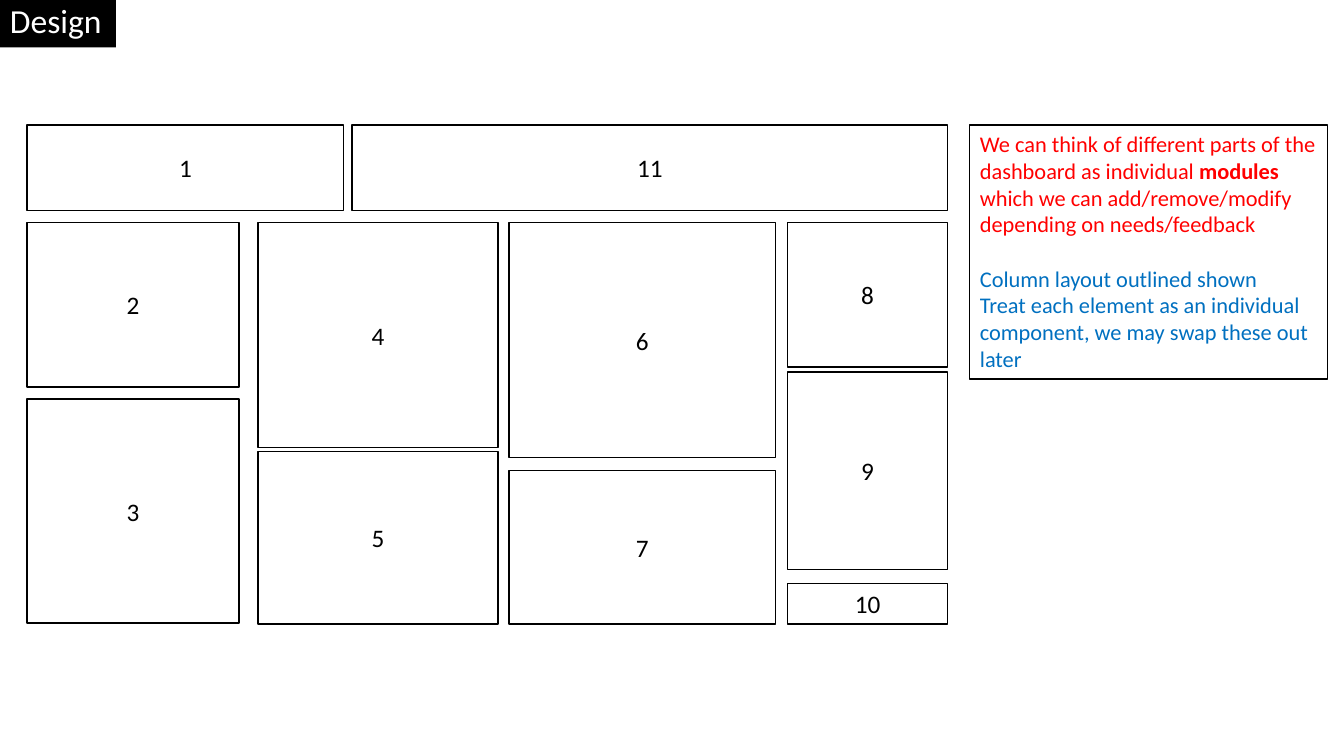
"""Build the dashboard design slide with its numbered modules and notes."""
import pptx
import pptx.dml.color
import pptx.enum.shapes
import pptx.enum.text
import pptx.util

Inches = pptx.util.Inches
Pt = pptx.util.Pt
ALIGN = pptx.enum.text.PP_ALIGN
ANCHOR = pptx.enum.text.MSO_ANCHOR
HUES = {"black": "000000", "white": "FFFFFF", "red": "FF0000", "blue": "0070C0"}


def tint(name):
    return pptx.dml.color.RGBColor.from_string(HUES[name])


def box(left, top, width, height, fill=None, line=None):
    shape = slide.shapes.add_shape(
        pptx.enum.shapes.MSO_SHAPE.RECTANGLE,
        Inches(left), Inches(top), Inches(width), Inches(height))
    shape.shadow.inherit = False
    if fill:
        shape.fill.solid()
        shape.fill.fore_color.rgb = tint(fill)
    else:
        shape.fill.background()
    if line:
        shape.line.color.rgb = tint("black")
        shape.line.width = Pt(line)
    else:
        shape.line.fill.background()
    shape.text_frame.word_wrap = True
    return shape.text_frame


deck = pptx.Presentation()
deck.slide_width = Inches(13.33)
deck.slide_height = Inches(7.5)
slide = deck.slides.add_slide(deck.slide_layouts[6])

title = box(0, 0, 1.15, 0.47, "black")
title.word_wrap = False
title.vertical_anchor = ANCHOR.TOP
head = title.paragraphs[0]
head.text = "Design"
head.alignment = ALIGN.LEFT
head.line_spacing = 0.9
head.font.name = "Calibri"
head.font.size = Pt(24)
head.font.color.rgb = tint("white")

cells = [(0.27, 1.24, 3.14, 0.85)]
columns = [
    (0.27, 2.1, [(2.21, 1.63), (3.96, 2.22)]),
    (2.56, 2.38, [(2.21, 2.23), (4.48, 1.71)]),
    (5.05, 2.64, [(2.21, 2.33), (4.67, 1.52)]),
    (7.81, 1.59, [(2.21, 1.43), (3.69, 1.96), (5.79, 0.4)]),
]
for left, width, rows in columns:
    for top, height in rows:
        cells.append((left, top, width, height))
cells.append((3.49, 1.24, 5.91, 0.85))

for number, cell in enumerate(cells, 1):
    frame = box(*cell, "white", 1)
    frame.vertical_anchor = ANCHOR.MIDDLE
    label = frame.paragraphs[0]
    label.text = str(number)
    label.alignment = ALIGN.CENTER
    label.font.name = "Calibri"
    label.font.size = Pt(18)
    label.font.color.rgb = tint("black")

notes = [
    ("red", 0, ["We can think of different parts of the dashboard as individual ",
                "modules",
                " which we can add/remove/modify depending on needs/feedback"]),
    ("blue", 19.5, ["Column layout outlined shown"]),
    ("blue", 0, ["Treat each element as an individual component, "
                 "we may swap these out later"]),
]
panel = box(9.62, 1.24, 3.55, 2.52, line=0.75)
panel.vertical_anchor = ANCHOR.TOP
panel.auto_size = pptx.enum.text.MSO_AUTO_SIZE.SHAPE_TO_FIT_TEXT
for index, (hue, gap, parts) in enumerate(notes):
    para = panel.add_paragraph() if index else panel.paragraphs[0]
    para.alignment = ALIGN.LEFT
    para.space_before = Pt(gap)
    para.font.name = "Calibri"
    para.font.size = Pt(16)
    para.font.color.rgb = tint(hue)
    for part in parts:
        run = para.add_run()
        run.text = part
        if part == "modules":
            run.font.bold = True

deck.save("out.pptx")
